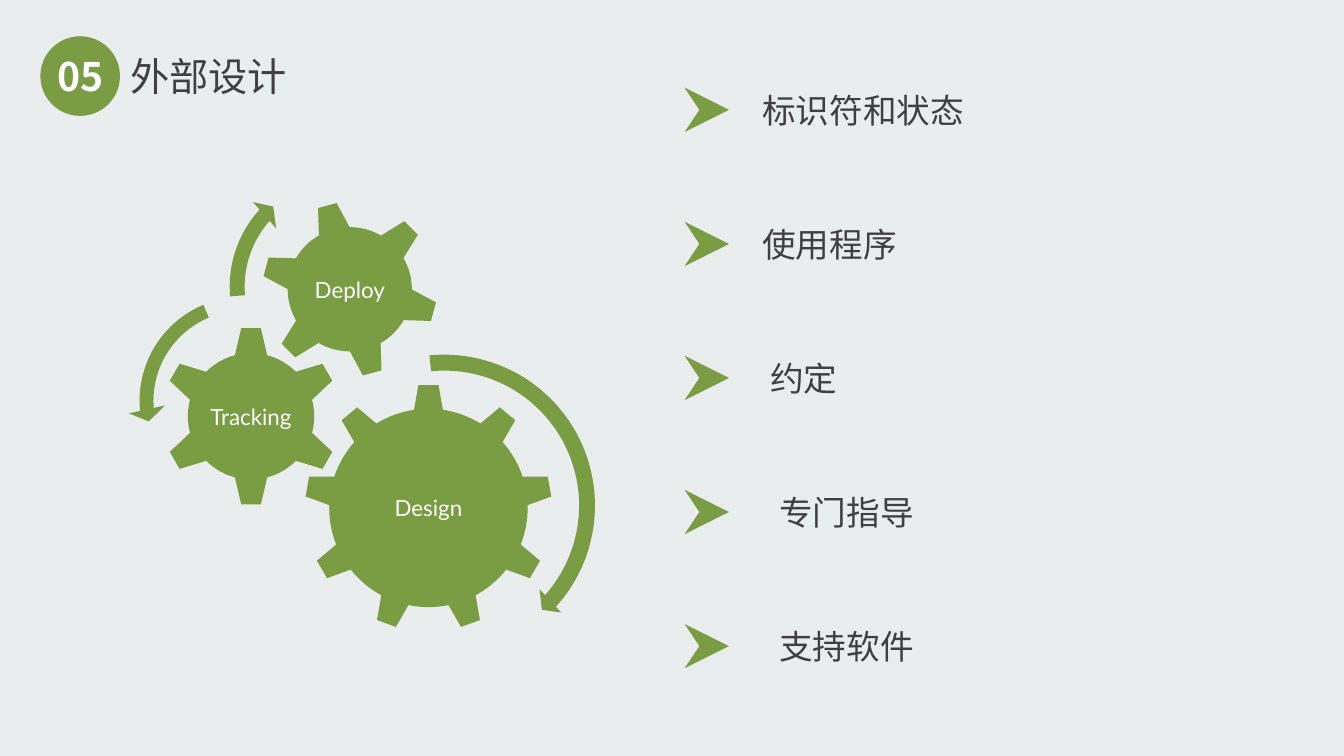
from dataclasses import dataclass

from lxml import etree
from pptx import Presentation
from pptx.dml.color import RGBColor
from pptx.enum import shapes as kinds, text as txt
from pptx.oxml import ns
from pptx.util import Inches, Pt

KIND = kinds.MSO_SHAPE
ALIGN = txt.PP_ALIGN


@dataclass(frozen=True)
class Theme:
    back: RGBColor = RGBColor(0xE9, 0xED, 0xEE)
    green: RGBColor = RGBColor(0x7A, 0x9C, 0x43)
    dark: RGBColor = RGBColor(0x40, 0x40, 0x40)
    white: RGBColor = RGBColor(0xFF, 0xFF, 0xFF)
    han: str = "Noto Sans CJK SC"
    latin: str = "Lato"
    head: int = 28
    item: int = 24
    label: int = 16


THEME = Theme()

# Label, preset, centre x, centre y, size, rotation
GEARS = [
    ("Design", KIND.GEAR_9, 2.98, 3.43, 2.46, 0),
    ("Tracking", KIND.GEAR_6, 1.22, 2.52, 1.79, 0),
    ("Deploy", KIND.GEAR_6, 2.2, 1.26, 1.76, -15),
]
# Preset, left, top, size, adjustments
TURNS = [
    (KIND.CIRCULAR_ARROW, 1.56, 1.83, 3.15, (0.05, 2.99, 25.14, 158.66, 0.05)),
    (KIND.LEFT_CIRCULAR_ARROW, 0, 1.22, 2.29, (0.06, 4.3, 104.89, 148.38, 0.08)),
    (KIND.CIRCULAR_ARROW, 0.91, 0, 2.47, (0.06, 3.94, 133.14, 105.08, 0.07)),
]
# Wording and indent
ITEMS = [
    ("标识符和状态", 0),
    ("使用程序", 0),
    ("约定", 0.08),
    ("专门指导", 0.17),
    ("支持软件", 0.17),
]


def paint(shape):
    shape.shadow.inherit = False
    shape.fill.solid()
    shape.fill.fore_color.rgb = THEME.green
    shape.line.fill.background()
    return shape


def preset(slide, kind, x, y, size):
    return paint(slide.shapes.add_shape(
        kind, Inches(x), Inches(y), Inches(size), Inches(size)))


def write(shape, words, size, color, face, align=ALIGN.LEFT, bold=False,
          wrap=True, inset=0.1):
    frame = shape.text_frame
    frame.word_wrap = wrap
    frame.auto_size = txt.MSO_AUTO_SIZE.NONE
    frame.vertical_anchor = txt.MSO_ANCHOR.MIDDLE
    frame.margin_left = Inches(inset)
    par = frame.paragraphs[0]
    par.alignment = align
    par.line_spacing = 1.0
    run = par.add_run()
    run.text = words
    font = run.font
    font.size, font.bold, font.name = Pt(size), bold, face
    font.color.rgb = color
    east = etree.SubElement(run._r.get_or_add_rPr(), ns.qn("a:ea"))
    east.set("typeface", face)


def header(slide, x, y):
    badge = preset(slide, KIND.OVAL, x, y, 0.79)
    write(badge, "05", THEME.head, THEME.white, THEME.han, ALIGN.CENTER,
          bold=True, wrap=False)
    title = slide.shapes.title
    title.left, title.top = Inches(x + 0.79), Inches(y + 0.11)
    title.width, title.height = Inches(3.82), Inches(0.57)
    write(title, "外部设计", THEME.head, THEME.dark, THEME.han)


def gears(slide, x, y):
    for words, kind, mid, row, size, turn in GEARS:
        cx, cy = x + mid, y + row
        gear = preset(slide, kind, cx - size / 2, cy - size / 2, size)
        gear.rotation = turn
        label = slide.shapes.add_textbox(
            Inches(cx - 0.6), Inches(cy - 0.45), Inches(1.2), Inches(0.9))
        write(label, words, THEME.label, THEME.white, THEME.latin, ALIGN.CENTER)
    for kind, left, top, size, values in TURNS:
        arrow = preset(slide, kind, x + left, y + top, size)
        for i, value in enumerate(values):
            arrow.adjustments[i] = value


def pointer(slide, x, y, size):
    """Draw a notched arrowhead that points right."""
    pen = slide.shapes.build_freeform(Inches(x + size), Inches(y + size / 2))
    pen.add_line_segments([
        (Inches(x), Inches(y + size)),
        (Inches(x + size / 3), Inches(y + size / 2)),
        (Inches(x), Inches(y)),
    ])
    paint(pen.convert_to_shape())


def points(slide, x, y, pitch):
    for i, (words, indent) in enumerate(ITEMS):
        top = y + i * pitch
        pointer(slide, x, top, 0.44)
        box = slide.shapes.add_textbox(
            Inches(x + 0.6 + indent), Inches(top - 0.03), Inches(4.04), Inches(0.5))
        write(box, words, THEME.item, THEME.dark, THEME.han, inset=0.17)


def main():
    deck = Presentation()
    deck.slide_width, deck.slide_height = Inches(13.33), Inches(7.5)
    slide = deck.slides.add_slide(deck.slide_layouts[5])
    slide.background.fill.solid()
    slide.background.fill.fore_color.rgb = THEME.back
    header(slide, 0.4, 0.36)
    gears(slide, 1.27, 1.61)
    points(slide, 6.79, 0.87, 1.33)
    deck.save("out.pptx")


if __name__ == "__main__":
    main()
